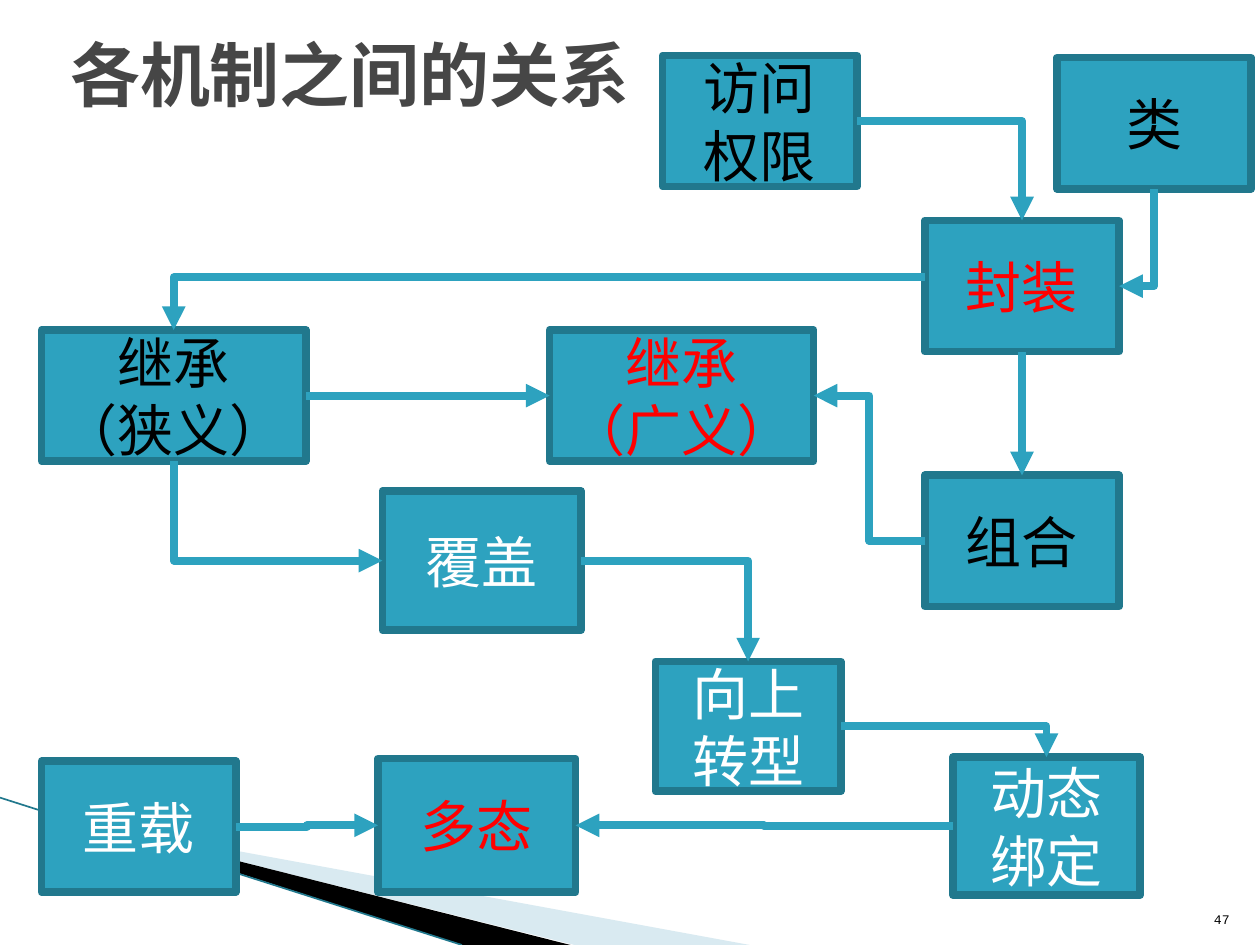
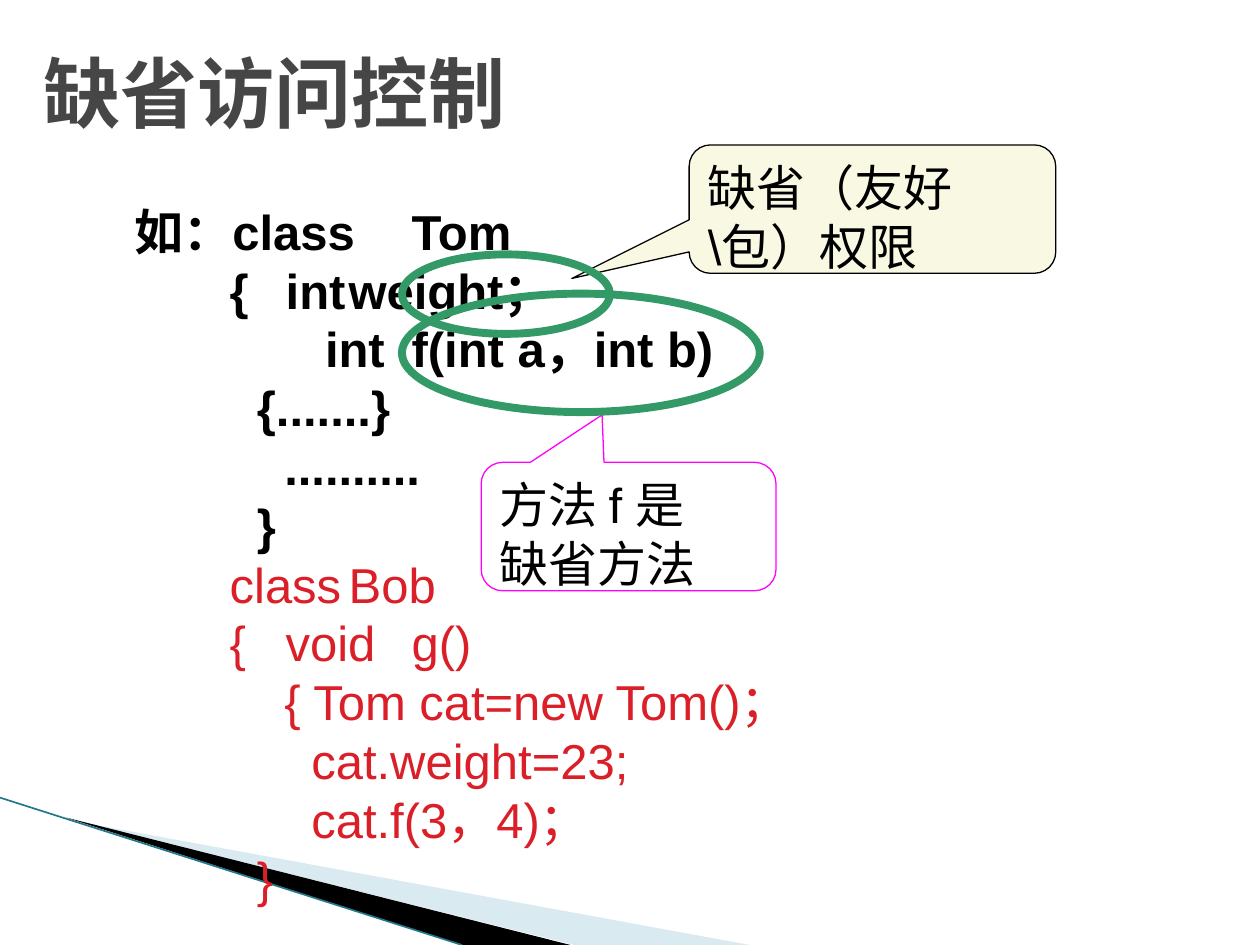
from pptx import Presentation
from pptx.dml.color import RGBColor
from pptx.enum.shapes import MSO_CONNECTOR as Link, MSO_SHAPE as Geo
from pptx.enum.text import MSO_ANCHOR as Anchor, PP_ALIGN as Align
from pptx.oxml.ns import qn
from pptx.util import Pt
from lxml.etree import SubElement as sub

# Shared style
MONO, SANS, HAN = "Courier New", "Arial", "Noto Sans CJK SC"
BLACK, WHITE, RED = "000000", "FFFFFF", "FF0000"
TEAL, EDGE, GREY = "2DA2BF", "21788D", "464646"
PALE, CRIMSON, GREEN = "A0CBDC", "DA1F28", "339966"
TOP, LEFT, BOTTOM, RIGHT = range(4)


def color(code):
    return RGBColor.from_string(code)


def paint(shape, fill=None, line=None, width=1):
    shape.shadow.inherit = False
    if fill:
        shape.fill.solid()
        shape.fill.fore_color.rgb = color(fill)
    else:
        shape.fill.background()
    if line:
        shape.line.color.rgb = color(line)
        shape.line.width = Pt(width)
    else:
        shape.line.fill.background()


def add_run(para, text, size, tint, font, bold=False):
    run = para.add_run()
    run.text = text
    run.font.size = Pt(size)
    run.font.bold = bold
    run.font.color.rgb = color(tint)
    run.font.name = font
    sub(run.font._element, qn("a:ea"), typeface=HAN)


def write(shape, lines, size, tint, font, align=Align.LEFT,
          anchor=Anchor.TOP, bold=False):
    frame = shape.text_frame
    frame.word_wrap = True
    frame.vertical_anchor = anchor
    for n, text in enumerate(lines):
        para = frame.paragraphs[0] if n == 0 else frame.add_paragraph()
        para.alignment = align
        para.line_spacing = Pt(size * 1.2)
        add_run(para, text, size, tint, font, bold)
    return frame


def add_text(slide, area, *style, **more):
    box = slide.shapes.add_textbox(*map(Pt, area))
    return write(box, *style, **more)


def add_title(slide, left, top, text, size):
    return add_text(slide, (left, top, 648, 90), [text], size, GREY, MONO,
                    anchor=Anchor.MIDDLE, bold=True)


def add_line(slide, kind, ends, tint, width):
    line = slide.shapes.add_connector(kind, *map(Pt, ends))
    line.line.color.rgb = color(tint)
    line.line.width = Pt(width)
    sub(line.element.spPr, qn("a:effectLst"))
    return line


def add_poly(slide, points, fill):
    spots = [(Pt(x), Pt(y)) for x, y in points]
    pen = slide.shapes.build_freeform(*spots[0])
    pen.add_line_segments(spots[1:], close=True)
    shape = pen.convert_to_shape()
    paint(shape, fill)
    return shape


def add_band(slide):
    # Corner sweep under the content
    pale = add_poly(slide, [(39.6, 468.7), (428.4, 540), (328.3, 540),
                            (39.6, 468)], PALE)
    tone = pale.element.spPr.find(qn("a:solidFill"))[0]
    sub(tone, qn("a:alpha"), val="40000")
    add_poly(slide, [(38.2, 467.3), (326, 540), (264, 540)], BLACK)
    add_line(slide, Link.STRAIGHT, (0, 455.8, 264, 540), EDGE, 0.95)


def add_box(slide, area, lines, tint):
    box = slide.shapes.add_shape(Geo.RECTANGLE, *map(Pt, area))
    paint(box, TEAL, EDGE, 4.33)
    write(box, lines, 32, tint, MONO, Align.CENTER, Anchor.MIDDLE)
    return box


def spot(box, site):
    # Middle of one side of a box, in points
    across = {LEFT: 0, RIGHT: 1}.get(site, 0.5)
    down = {TOP: 0, BOTTOM: 1}.get(site, 0.5)
    return ((box.left + across * box.width) / Pt(1),
            (box.top + down * box.height) / Pt(1))


def add_link(slide, start, out, end, into, level=None):
    x, y = spot(start, out)
    ends = (x, level or y, *spot(end, into))
    link = add_line(slide, Link.ELBOW, ends, TEAL, 4.5)
    if level is None:
        link.begin_connect(start, out)
    link.end_connect(end, into)
    props = link.element.spPr
    if out % 2 != into % 2:
        props.find(qn("a:prstGeom")).set("prst", "bentConnector2")
    if out == BOTTOM:
        turn(link)
    sub(link.line._get_or_add_ln(), qn("a:tailEnd"), type="triangle")


def turn(link):
    # A path that leaves downward is a sideways one rotated by 90 degrees
    x1, y1, x2, y2 = link.begin_x, link.begin_y, link.end_x, link.end_y
    wide, high = abs(y2 - y1), abs(x2 - x1)
    frame = link.element.spPr.find(qn("a:xfrm"))
    for key in ("flipH", "flipV"):
        frame.attrib.pop(key, None)
    frame.set("rot", "5400000")
    if x2 > x1:
        frame.set("flipV", "1")
    link.left, link.top = (x1 + x2 - wide) // 2, (y1 + y2 - high) // 2
    link.width, link.height = wide, high


def add_callout(slide, area, tip, lines, fill, line):
    box = slide.shapes.add_shape(Geo.ROUNDED_RECTANGULAR_CALLOUT,
                                 *map(Pt, area))
    for n, value in enumerate((*tip, 0.167)):
        box.adjustments[n] = value
    paint(box, fill, line, 0.75)
    write(box, lines, 28, BLACK, SANS)


def add_ring(slide, *area):
    ring = slide.shapes.add_shape(Geo.OVAL, *map(Pt, area))
    paint(ring, None, GREEN, 4.5)


def add_code(slide, area, rows):
    # Each row: first-line indent, text, tab stops, red or not
    frame = add_text(slide, area, [], 28, BLACK, SANS)
    for n, (indent, text, tabs, late) in enumerate(rows):
        para = frame.paragraphs[0] if n == 0 else frame.add_paragraph()
        para.line_spacing = Pt(33.6)
        props = para._p.get_or_add_pPr()
        props.set("marL", "0")
        props.set("indent", str(Pt(indent)))
        if tabs:
            stops = sub(props, qn("a:tabLst"))
            for tab in tabs:
                sub(stops, qn("a:tab"), pos=str(Pt(tab)), algn="l")
        add_run(para, text, 28, CRIMSON if late else BLACK, SANS, not late)


def draw_map(slide):
    add_band(slide)
    add_text(slide, (681, 504.7, 28.8, 28.8), ["47"], 7.5, BLACK, MONO,
             align=Align.RIGHT, anchor=Anchor.BOTTOM)
    add_title(slide, 33, -3, "各机制之间的关系", 40)

    # Concept boxes
    size, wide = (111, 75), (151, 75)
    rows = {
        "access": ((378.7, 31.7, *size), ["访问", "权限"], BLACK),
        "class": ((604, 33, *size), ["类"], BLACK),
        "wrap": ((528.5, 126, *size), ["封装"], RED),
        "narrow": ((23.8, 188.6, *wide), ["继承", "（狭义）"], BLACK),
        "broad": ((314, 188.6, *wide), ["继承", "（广义）"], RED),
        "join": ((528.5, 271.6, *size), ["组合"], BLACK),
        "cover": ((218.5, 280.6, 113.5, 79.6), ["覆盖"], WHITE),
        "cast": ((374.5, 378, 106, 74.2), ["向上转型"], WHITE),
        "bind": ((544.5, 432.6, 107, 79), ["动态绑定"], WHITE),
        "poly": ((216, 433.5, 113, 76.3), ["多态"], RED),
        "load": ((23.8, 435, 111, 74.8), ["重载"], WHITE),
    }
    box = {name: add_box(slide, *row) for name, row in rows.items()}

    # Arrows between them
    for start, out, end, into in (
            ("access", RIGHT, "wrap", TOP),
            ("class", BOTTOM, "wrap", RIGHT),
            ("wrap", BOTTOM, "join", TOP),
            ("join", LEFT, "broad", RIGHT),
            ("narrow", RIGHT, "broad", LEFT),
            ("narrow", BOTTOM, "cover", LEFT),
            ("cover", RIGHT, "cast", TOP),
            ("cast", RIGHT, "bind", TOP),
            ("bind", LEFT, "poly", RIGHT),
            ("load", RIGHT, "poly", LEFT)):
        add_link(slide, box[start], out, box[end], into)
    add_link(slide, box["wrap"], LEFT, box["narrow"], TOP, 158.4)


def draw_code(slide):
    add_band(slide)
    add_code(slide, (48.2, 111.6, 535.7, 410.4), [
        (21.6, "如：class\tTom", [169.7], False),
        (76, "{\tint\tweight；", [133, 183.4], False),
        (130.5, "int\tf(int a，int b)", [187.4], False),
        (91.6, "{.......}", [], False),
        (107.2, "..........", [], False),
        (91.6, "}", [], False),
        (76, "class\tBob", [155.4], True),
        (76, "{\tvoid\tg()", [108.5, 175.4], True),
        (107.2, "{ Tom cat=new Tom()；", [], True),
        (122.7, "cat.weight=23;", [], True),
        (122.7, "cat.f(3，4)；", [], True),
        (91.6, "}", [], True),
    ])

    # Notes on the two members
    add_callout(slide, (393.8, 82.8, 209.5, 73.4), (-0.82, 0.54),
                ["缺省（友好\\包）权限"], "F9F9E3", BLACK)
    add_ring(slide, 229.7, 145.4, 118.8, 45.4)
    add_callout(slide, (275, 264.2, 168.5, 73.4), (-0.09, -0.87),
                ["方法 f 是", "缺省方法"], WHITE, "FF00FF")
    add_ring(slide, 229.7, 167.8, 204.5, 67.7)

    title = add_title(slide, 8, 7.2, "缺省访问控制", 44)
    title.margin_left = Pt(17)


def main():
    deck = Presentation()
    deck.slide_width, deck.slide_height = Pt(720), Pt(540)
    for draw in (draw_map, draw_code):
        draw(deck.slides.add_slide(deck.slide_layouts[6]))
    deck.save("out.pptx")


main()
